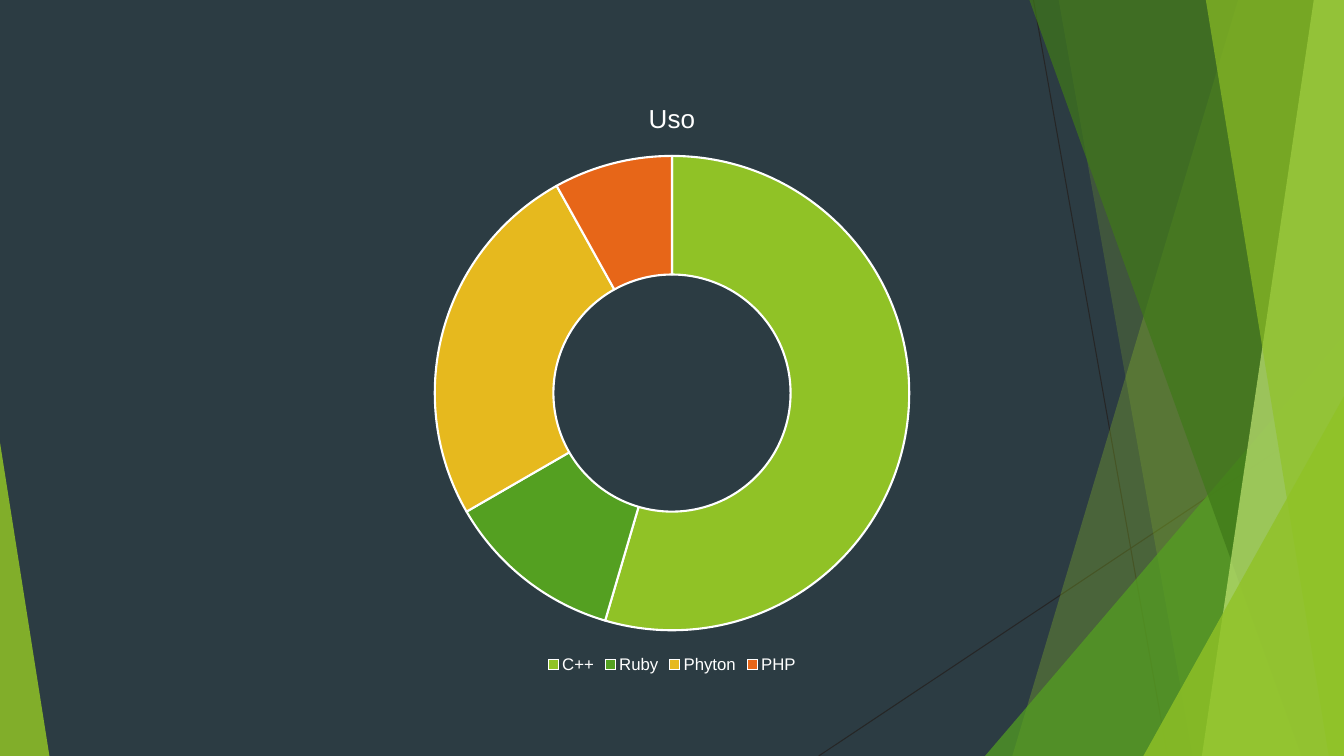
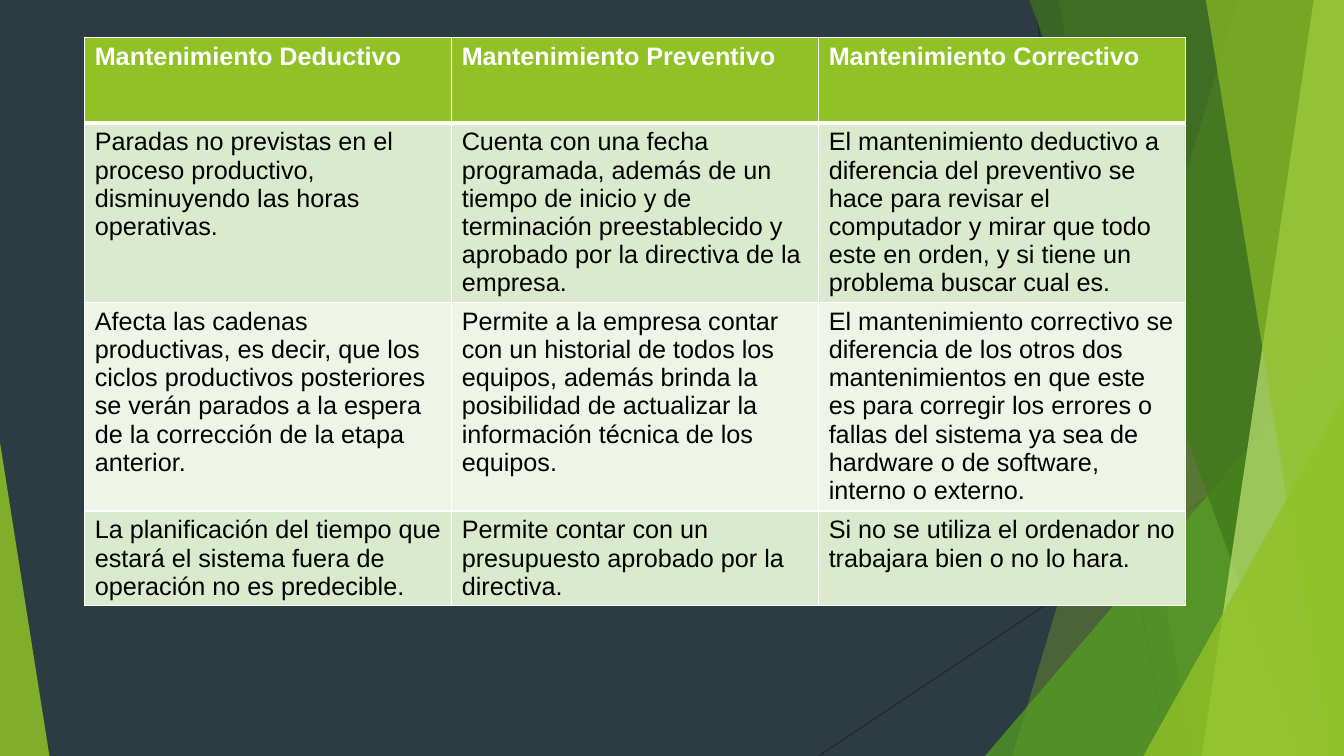
from lxml.etree import SubElement
from pptx import Presentation
from pptx.chart.data import CategoryChartData
from pptx.dml.color import RGBColor
from pptx.enum.chart import XL_CHART_TYPE as ChartType, XL_LEGEND_POSITION as LegendPosition
from pptx.enum.shapes import MSO_CONNECTOR as Connector, MSO_SHAPE as Shape
from pptx.oxml import parse_xml
from pptx.oxml.ns import nsdecls, qn
from pptx.util import Inches, Pt

WIDTH, HEIGHT = 13.33, 7.5
FONT = "Arial"
COLORS = {
    "background": "2C3C43",
    "line": "262626",
    "lime": "90C226",
    "green": "54A021",
    "forest": "3F7819",
    "pale": "C0E474",
    "yellow": "E6B91E",
    "orange": "E76618",
    "white": "FFFFFF",
    "black": "000000",
    "row_dark": "DBE9CD",
    "row_light": "EEF4E8",
}
USAGE = {"C++": 54, "Ruby": 12, "Phyton": 25, "PHP": 8}
SLICE_COLORS = ["lime", "green", "yellow", "orange"]
MAINTENANCE = [
    ["Mantenimiento Deductivo", "Mantenimiento Preventivo", "Mantenimiento Correctivo"],
    [
        "Paradas no previstas en el proceso productivo, disminuyendo las horas operativas.",
        "Cuenta con una fecha programada, además de un tiempo de inicio y de terminación "
        "preestablecido y aprobado por la directiva de la empresa.",
        "El mantenimiento deductivo a diferencia del preventivo se hace para revisar el "
        "computador y mirar que todo este en orden, y si tiene un problema buscar cual es.",
    ],
    [
        "Afecta las cadenas productivas, es decir, que los ciclos productivos posteriores "
        "se verán parados a la espera de la corrección de la etapa anterior.",
        "Permite a la empresa contar con un historial de todos los equipos, además brinda "
        "la posibilidad de actualizar la información técnica de los equipos.",
        "El mantenimiento correctivo se diferencia de los otros dos mantenimientos en que "
        "este es para corregir los errores o fallas del sistema ya sea de hardware o de "
        "software, interno o externo.",
    ],
    [
        "La planificación del tiempo que estará el sistema fuera de operación no es predecible.",
        "Permite contar con un presupuesto aprobado por la directiva.",
        "Si no se utiliza el ordenador no trabajara bien o no lo hara.",
    ],
]
ROW_HEIGHTS = [0.85, 1.78, 2.07, 0.93]


def color(name):
    return RGBColor.from_string(COLORS[name])


class FacetDeck:
    def __init__(self):
        self.deck = Presentation()
        self.deck.slide_width = Inches(WIDTH)
        self.deck.slide_height = Inches(HEIGHT)
        self.page = None

    def new_page(self):
        self.page = self.deck.slides.add_slide(self.deck.slide_layouts[6])
        fill = self.page.background.fill
        fill.solid()
        fill.fore_color.rgb = color("background")
        self.line(10.25, 0, 11.58, HEIGHT)
        self.line(WIDTH, 4.03, 8.12, HEIGHT)
        self.band(12.28, 10.04, "lime", 30)
        self.band(10.5, 11.83, "lime", 20)
        self.triangle(9.77, 3.33, 3.56, 1, "green", 72)
        self.band(10.21, 12.91, "forest", 70)
        self.band(13.03, 11.92, "pale", 70)
        self.band(11.96, 13.18, "lime", 65)
        self.triangle(11.34, 3.93, 1.99, 1, "lime", 80)
        self.triangle(0, 4.39, 0.49, 0, "lime", 85)

    def line(self, x1, y1, x2, y2):
        line = self.page.shapes.add_connector(
            Connector.STRAIGHT, Inches(x1), Inches(y1), Inches(x2), Inches(y2))
        line.line.color.rgb = color("line")
        line.line.width = Pt(0.75)
        SubElement(line._element.spPr, qn("a:effectLst"))

    def paint(self, shape, name, opacity):
        shape.shadow.inherit = False
        shape.line.fill.background()
        shape.fill.solid()
        shape.fill.fore_color.rgb = color(name)
        tint = shape._element.spPr.find(qn("a:solidFill"))[0]
        SubElement(tint, qn("a:alpha")).set("val", str(opacity * 1000))

    def band(self, top_x, bottom_x, name, opacity):
        corners = [(WIDTH, 0), (WIDTH, HEIGHT), (bottom_x, HEIGHT)]
        outline = self.page.shapes.build_freeform(Inches(top_x), Inches(0))
        outline.add_line_segments([(Inches(x), Inches(y)) for x, y in corners])
        self.paint(outline.convert_to_shape(), name, opacity)

    def triangle(self, left, top, width, apex, name, opacity):
        shape = self.page.shapes.add_shape(
            Shape.ISOSCELES_TRIANGLE,
            Inches(left), Inches(top), Inches(width), Inches(HEIGHT - top))
        shape.adjustments[0] = apex
        self.paint(shape, name, opacity)

    def style_font(self, font, size, name="white", bold=False):
        font.name = FONT
        font.size = Pt(size)
        font.bold = bold
        font.color.rgb = color(name)

    def doughnut(self, left, top, width, height, title, values, slice_colors):
        data = CategoryChartData()
        data.categories = list(values)
        data.add_series(title, list(values.values()))
        chart = self.page.shapes.add_chart(
            ChartType.DOUGHNUT,
            Inches(left), Inches(top), Inches(width), Inches(height), data).chart
        self.style_font(chart.font, 10)
        chart.has_title = True
        heading = chart.chart_title.text_frame
        heading.text = title
        self.style_font(heading.paragraphs[0].runs[0].font, 18.6)
        chart.has_legend = True
        chart.legend.position = LegendPosition.BOTTOM
        chart.legend.include_in_layout = False
        self.style_font(chart.legend.font, 12)
        plot = chart.plots[0]
        plot.vary_by_categories = True
        plot._element.find(qn("c:holeSize")).set("val", "75")
        for index, name in enumerate(slice_colors):
            part = plot.series[0].points[index].format
            part.fill.solid()
            part.fill.fore_color.rgb = color(name)
            part.line.color.rgb = color("white")
            part.line.width = Pt(1.5)

    def table(self, left, top, column_width, row_heights, rows):
        columns = len(rows[0])
        table = self.page.shapes.add_table(
            len(rows), columns, Inches(left), Inches(top),
            Inches(column_width * columns), Inches(sum(row_heights))).table
        for column in table.columns:
            column.width = Inches(column_width)
        for index, texts in enumerate(rows):
            table.rows[index].height = Inches(row_heights[index])
            header = index == 0
            fill = "lime" if header else "row_dark" if index % 2 else "row_light"
            for cell, text in zip(table.rows[index].cells, texts):
                cell.text = text
                span = cell.text_frame.paragraphs[0].runs[0]
                self.style_font(span.font, 18, "white" if header else "black", header)
                cell.fill.solid()
                cell.fill.fore_color.rgb = color(fill)
                self.borders(cell, 3 if index == 1 else 1, 3 if header else 1)

    def borders(self, cell, top, bottom):
        properties = cell._tc.get_or_add_tcPr()
        for place, (side, width) in enumerate(
                [("lnL", 1), ("lnR", 1), ("lnT", top), ("lnB", bottom)]):
            properties.insert(place, parse_xml(
                f'<a:{side} {nsdecls("a")} w="{Pt(width)}"><a:solidFill>'
                f'<a:srgbClr val="{COLORS["white"]}"/></a:solidFill></a:{side}>'))


def main():
    facets = FacetDeck()
    facets.new_page()
    facets.doughnut(2.22, 0.79, 8.89, 5.93, "Uso", USAGE, SLICE_COLORS)
    facets.new_page()
    facets.table(0.84, 0.37, 3.64, ROW_HEIGHTS, MAINTENANCE)
    facets.deck.save("out.pptx")


if __name__ == "__main__":
    main()
